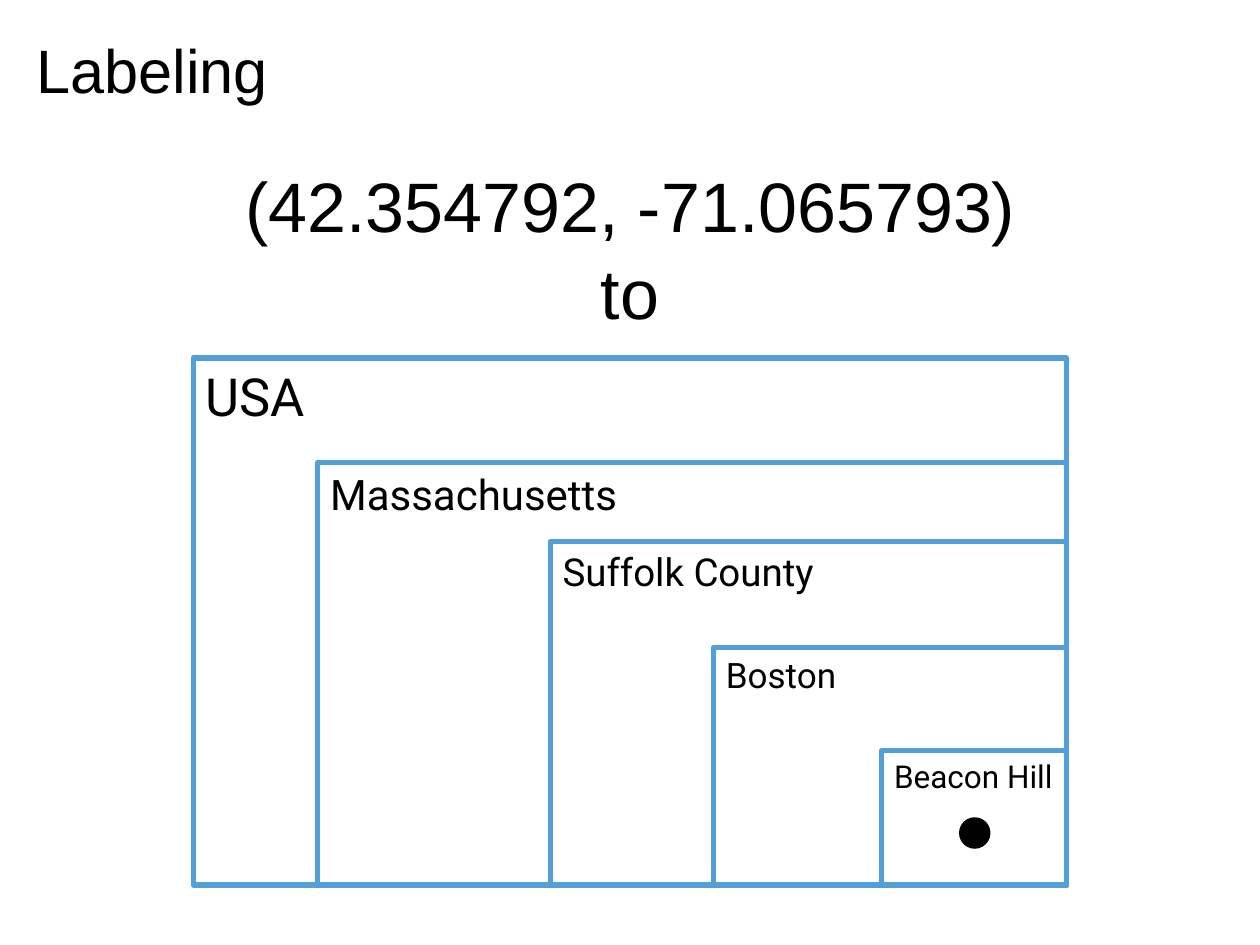
from pptx import Presentation
from pptx.dml.color import RGBColor
from pptx.enum.shapes import MSO_SHAPE
from pptx.enum.text import MSO_ANCHOR, PP_ALIGN
from pptx.util import Pt

RECT, OVAL = MSO_SHAPE.RECTANGLE, MSO_SHAPE.OVAL
TOP, MIDDLE = MSO_ANCHOR.TOP, MSO_ANCHOR.MIDDLE
LEFT, CENTER = PP_ALIGN.LEFT, PP_ALIGN.CENTER
COLORS = {"text": "000000", "line": "539FD8", "dot": "000000"}


def color(name):
    return RGBColor.from_string(COLORS[name])


def write(shape, lines, size, font, align=LEFT, anchor=TOP, wrap=True, gap=0):
    frame = shape.text_frame
    frame.text = "\n".join(lines)
    for key, value in {"word_wrap": wrap, "vertical_anchor": anchor}.items():
        setattr(frame, key, value)
    for row, para in enumerate(frame.paragraphs):
        para.alignment = align
        para.space_before = Pt(gap if row else 0)
        for key, value in {"size": Pt(size), "name": font}.items():
            setattr(para.font, key, value)
        para.font.color.rgb = color("text")


deck = Presentation()
deck.slide_width, deck.slide_height = Pt(720), Pt(540)
slide = deck.slides.add_slide(deck.slide_layouts[6])
shapes = slide.shapes

# Title
title = shapes.add_textbox(Pt(13.7), Pt(9.4), Pt(638.6), Pt(59.8))
write(title, ["Labeling"], 35, "Arial", anchor=MIDDLE)

# Coordinates
coords = shapes.add_textbox(Pt(132.2), Pt(89.3), Pt(455.8), Pt(104.4))
write(coords, ["(42.354792, -71.065793)", "to"], 40, "Arial",
      align=CENTER, wrap=False, gap=2)

# Nested areas share the lower right corner
RIGHT, BOTTOM = 609.4, 505.7
areas = [
    ("USA", 110.4, 204.6, 30),
    ("Massachusetts", 181.6, 264.3, 24),
    ("Suffolk County", 314.4, 309.5, 22),
    ("Boston", 407.7, 369.9, 20),
    ("Beacon Hill", 503.8, 428.9, 18),
]
for name, x, y, size in areas:
    box = shapes.add_shape(RECT, Pt(x), Pt(y), Pt(RIGHT - x), Pt(BOTTOM - y))
    box.shadow.inherit = False
    box.fill.background()
    box.line.color.rgb = color("line")
    box.line.width = Pt(3)
    write(box, [name], size, "Roboto")

# Point in the innermost area
dot = shapes.add_shape(OVAL, Pt(548), Pt(467), Pt(18), Pt(18))
dot.shadow.inherit = False
dot.fill.solid()
dot.fill.fore_color.rgb = color("dot")
dot.line.fill.background()

deck.save("out.pptx")
